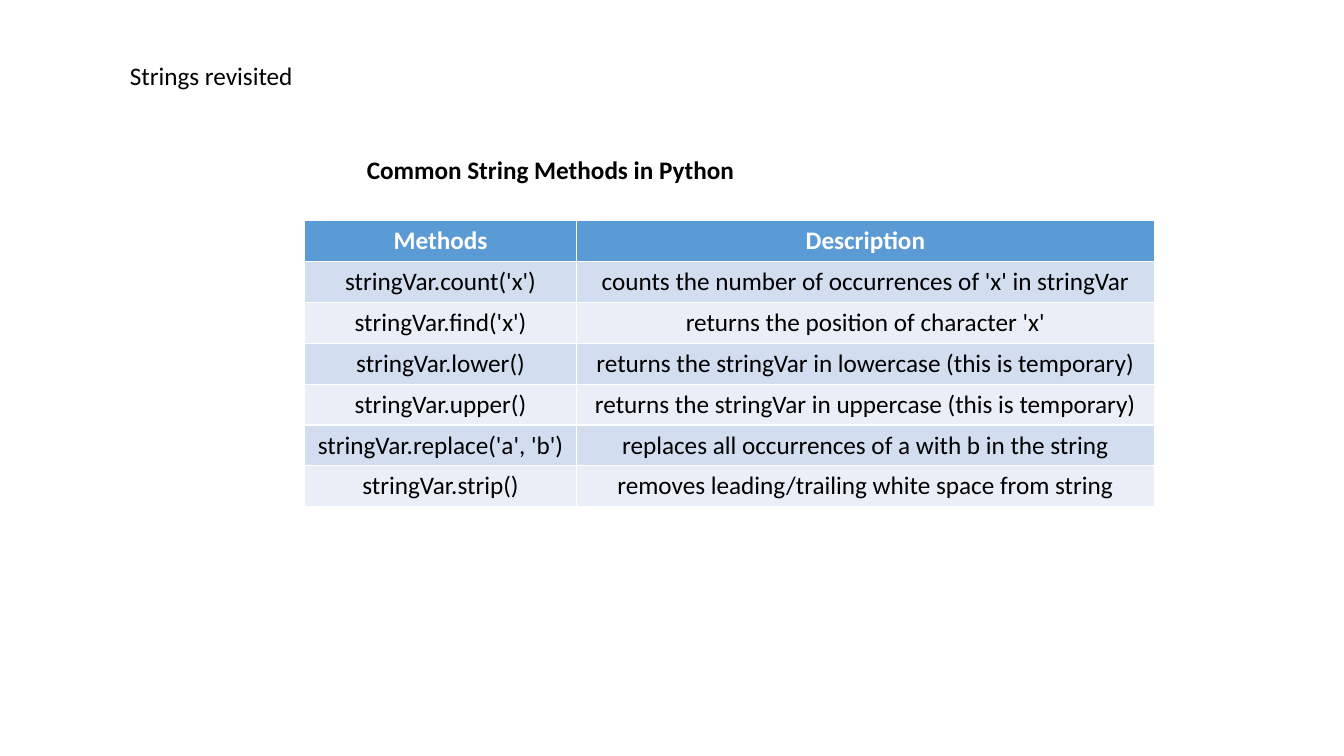
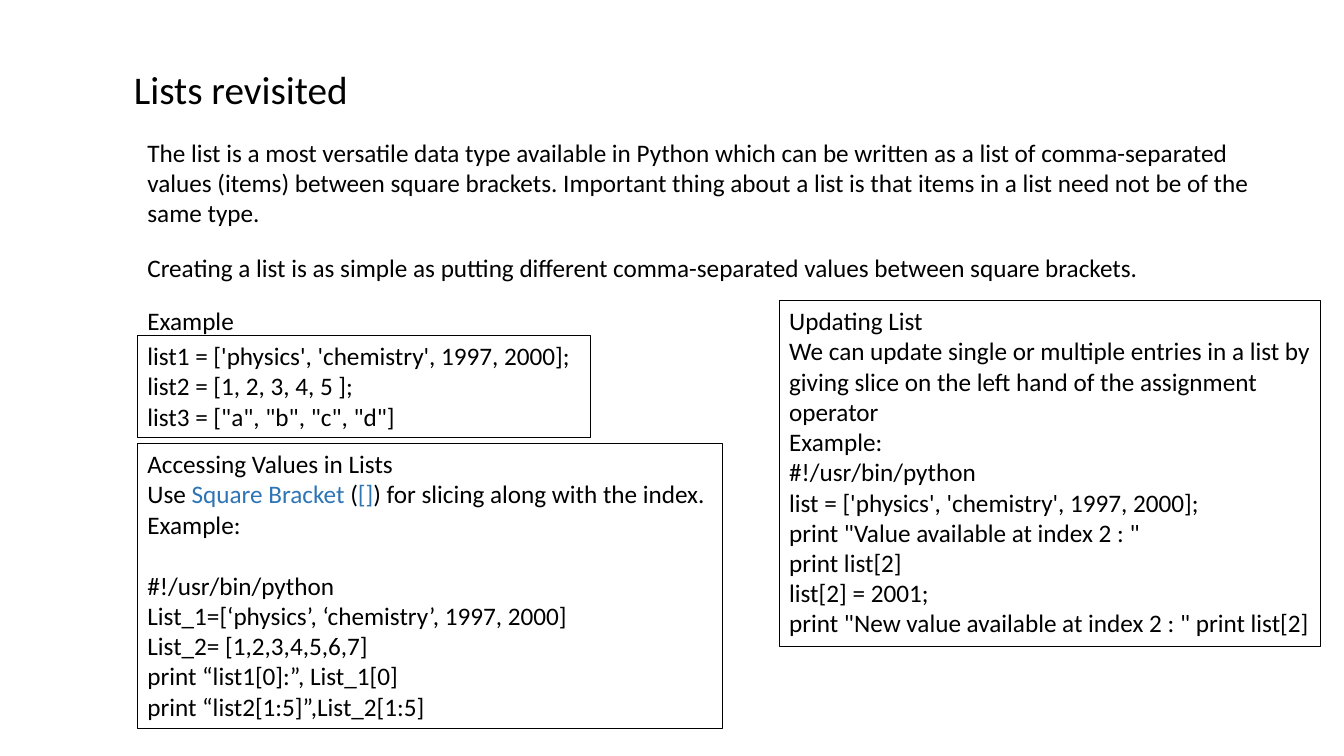
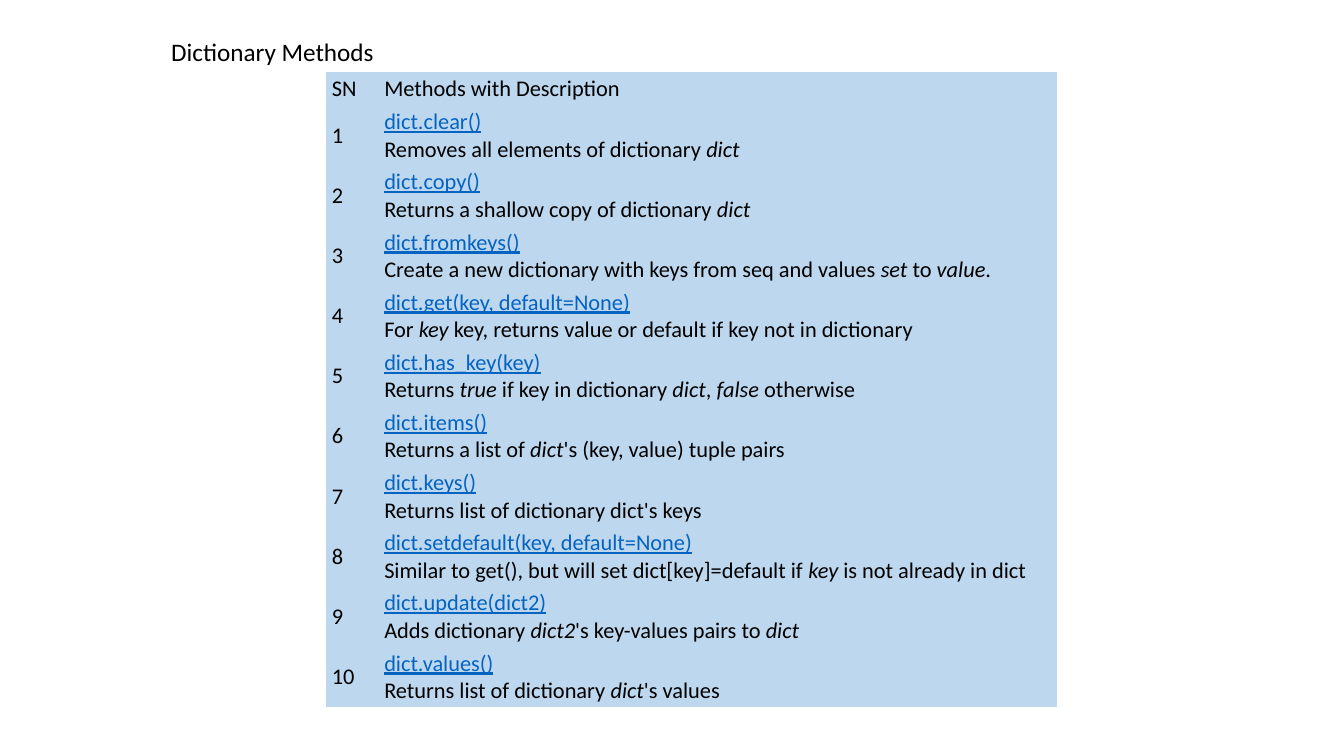
import pptx
import pptx.dml.color
import pptx.enum.shapes
import pptx.enum.text
import pptx.util

Pt = pptx.util.Pt
ALIGN = pptx.enum.text.PP_ALIGN
ANCHOR = pptx.enum.text.MSO_ANCHOR

FONT = "Calibri"
BLACK, WHITE = "000000", "FFFFFF"
HEADER_BLUE, BAND_DARK, BAND_LIGHT = "5B9BD5", "D2DEEF", "EAEFF7"
PALE_BLUE, LINK_BLUE, ACCENT_BLUE = "BDD7EE", "0563C1", "2E75B6"
NO_STYLE_TABLE = "{2D5ABB26-0587-4C30-8999-92F81FD0307C}"

color = pptx.dml.color.RGBColor.from_string


def write(text_frame, lines, size=18, fill=BLACK, align=ALIGN.LEFT):
    """Write one paragraph per line; text between asterisks becomes every second run."""
    for index, line in enumerate(lines):
        paragraph = text_frame.paragraphs[0] if index == 0 else text_frame.add_paragraph()
        paragraph.alignment = align
        for part in line.split("*"):
            if part or line == "":
                paragraph.add_run().text = part
        for run in paragraph.runs:
            run.font.name = FONT
            run.font.size = Pt(size)
            run.font.color.rgb = color(fill)


def add_text(slide, left, top, width, height, lines, size=18, boxed=False, wrap=False):
    """Add a text box, or a rectangle with a thin black outline when boxed."""
    area = Pt(left), Pt(top), Pt(width), Pt(height)
    if boxed:
        shape = slide.shapes.add_shape(pptx.enum.shapes.MSO_SHAPE.RECTANGLE, *area)
        shape.shadow.inherit = False
        shape.fill.background()
        shape.line.color.rgb = color(BLACK)
        shape.line.width = Pt(0.75)
    else:
        shape = slide.shapes.add_textbox(*area)
    text_frame = shape.text_frame
    text_frame.word_wrap = wrap
    text_frame.auto_size = pptx.enum.text.MSO_AUTO_SIZE.SHAPE_TO_FIT_TEXT
    text_frame.vertical_anchor = ANCHOR.TOP
    write(text_frame, lines, size)
    return shape


presentation = pptx.Presentation()
presentation.slide_width = Pt(960)
presentation.slide_height = Pt(540)
blank = presentation.slide_layouts[6]

# Slide 1: string methods
slide = presentation.slides.add_slide(blank)
add_text(slide, 85.7, 39.6, 131.8, 29, ["Strings revisited"])
heading = add_text(slide, 254.9, 106.6, 279.4, 29, ["Common String Methods in Python"])
heading.text_frame.paragraphs[0].runs[0].font.bold = True

string_methods = [
    ("Methods", "Description"),
    ("stringVar.count('x')", "counts the number of occurrences of 'x' in stringVar"),
    ("stringVar.find('x')", "returns the position of character 'x'"),
    ("stringVar.lower()", "returns the stringVar in lowercase (this is temporary)"),
    ("stringVar.upper()", "returns the stringVar in uppercase (this is temporary)"),
    ("stringVar.replace('a', 'b')", "replaces all occurrences of a with b in the string"),
    ("stringVar.strip()", "removes leading/trailing white space from string"),
]
row_height = 29.2
table = slide.shapes.add_table(
    len(string_methods), 2, Pt(217.6), Pt(157.6), Pt(607), Pt(row_height * len(string_methods))
).table
table.columns[0].width = Pt(194.2)
table.columns[1].width = Pt(412.8)
for row_index, row in enumerate(string_methods):
    table.rows[row_index].height = Pt(row_height)
    is_header = row_index == 0
    band = HEADER_BLUE if is_header else (BAND_LIGHT, BAND_DARK)[row_index % 2]
    for column_index, text in enumerate(row):
        cell = table.cell(row_index, column_index)
        cell.fill.solid()
        cell.fill.fore_color.rgb = color(band)
        write(cell.text_frame, [text], fill=WHITE if is_header else BLACK, align=ALIGN.CENTER)
        cell.text_frame.paragraphs[0].runs[0].font.bold = is_header

# Slide 2: lists
slide = presentation.slides.add_slide(blank)
left_edge = 98.2
add_text(slide, 88.6, 43.2, 168.5, 41, ["Lists revisited"], size=28)
add_text(slide, left_edge, 94.3, 819.4, 72.7, [
    "The list is a most versatile data type available in Python which can be written as a list of "
    "comma-separated values (items) between square brackets. Important thing about a list is that "
    "items in a list need not be of the same type.",
], wrap=True)
add_text(slide, left_edge, 176.4, 731.5, 29, [
    "Creating a list is as simple as putting different comma-separated values between square brackets.",
])
add_text(slide, left_edge, 239.6, 324, 72.7, [
    "list1 = ['physics', 'chemistry', 1997, 2000];",
    "list2 = [1, 2, 3, 4, 5 ];",
    'list3 = ["a", "b", "c", "d"]',
], boxed=True)
add_text(slide, left_edge, 214.6, 81.4, 29, ["Example"])

access_box = add_text(slide, left_edge, 316.8, 417.6, 203.8, [
    "Accessing Values in Lists",
    "Use *Square Bracket* (*[]*) for slicing along with the index.",
    "Example:",
    "#!/usr/bin/python",
    "List_1=[‘physics’, ‘chemistry’, 1997, 2000]",
    "List_2= [1,2,3,4,5,6,7]",
    "print “list1[0]:”, List_1[0]",
    "print “list2[1:5]”,List_2[1:5]",
], boxed=True)
access_lines = access_box.text_frame.paragraphs
for run in access_lines[1].runs[1::2]:
    run.font.color.rgb = color(ACCENT_BLUE)
access_lines[3].space_before = Pt(22)

add_text(slide, 556.6, 214.6, 386.6, 247, [
    "Updating List",
    "We can update single or multiple entries in a list by giving slice on the left hand "
    "of the assignment operator",
    "Example:",
    "#!/usr/bin/python",
    "list = ['physics', 'chemistry', 1997, 2000];",
    'print "Value available at index 2 : "',
    "print list[2]",
    "list[2] = 2001;",
    'print "New value available at index 2 : " print list[2]',
], boxed=True, wrap=True)

# Slide 3: dictionary methods, asterisks mark italics
slide = presentation.slides.add_slide(blank)
dictionary_methods = [
    ("dict.clear()", "Removes all elements of dictionary *dict*"),
    ("dict.copy()", "Returns a shallow copy of dictionary *dict*"),
    ("dict.fromkeys()", "Create a new dictionary with keys from seq and values *set* to *value*."),
    ("dict.get(key, default=None)", "For *key* key, returns value or default if key not in dictionary"),
    ("dict.has_key(key)", "Returns *true* if key in dictionary *dict*, *false* otherwise"),
    ("dict.items()", "Returns a list of *dict*'s (key, value) tuple pairs"),
    ("dict.keys()", "Returns list of dictionary dict's keys"),
    ("dict.setdefault(key, default=None)",
     "Similar to get(), but will set dict[key]=default if *key* is not already in dict"),
    ("dict.update(dict2)", "Adds dictionary *dict2*'s key-values pairs to *dict*"),
    ("dict.values()", "Returns list of dictionary *dict*'s values"),
]
rows = [("SN", ["Methods with Description"])]
rows += [(str(number), list(entry)) for number, entry in enumerate(dictionary_methods, 1)]
table = slide.shapes.add_table(len(rows), 2, Pt(232.8), Pt(51.3), Pt(522), Pt(454)).table
table.first_row = table.horz_banding = False
table._tbl.tblPr[0].text = NO_STYLE_TABLE
table.columns[0].width = Pt(37.4)
table.columns[1].width = Pt(484.6)
for row_index, (number, lines) in enumerate(rows):
    table.rows[row_index].height = Pt(43 if row_index else 24)
    for column_index, cell_lines in enumerate(([number], lines)):
        cell = table.cell(row_index, column_index)
        cell.fill.solid()
        cell.fill.fore_color.rgb = color(PALE_BLUE)
        cell.vertical_anchor = ANCHOR.MIDDLE
        cell.margin_left = cell.margin_right = Pt(4.3)
        cell.margin_top = cell.margin_bottom = Pt(2.1)
        write(cell.text_frame, cell_lines, size=16)
    if row_index:
        method, description = table.cell(row_index, 1).text_frame.paragraphs
        method.runs[0].font.underline = True
        method.runs[0].font.color.rgb = color(LINK_BLUE)
        for run in description.runs[1::2]:
            run.font.italic = True
add_text(slide, 115.2, 22.3, 161.3, 29, ["Dictionary Methods"])

presentation.save("out.pptx")
